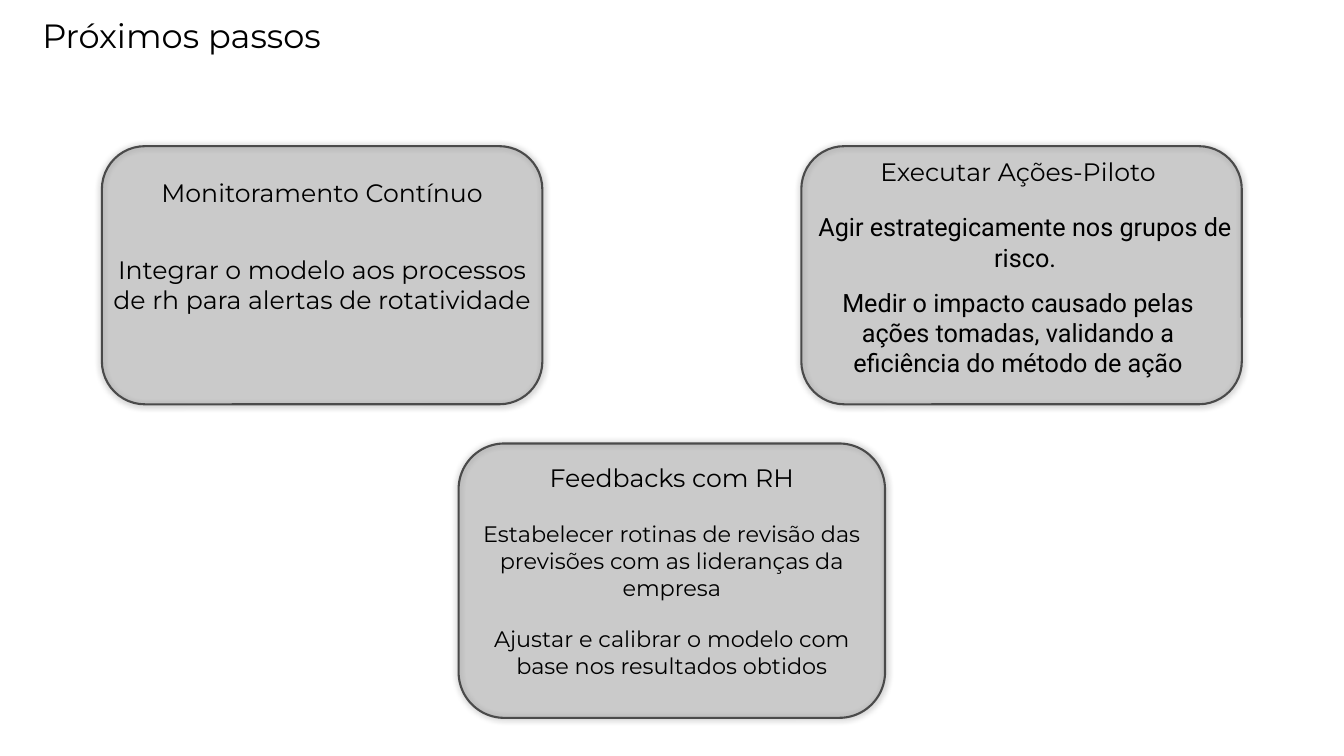
import pptx
import pptx.dml.color
import pptx.enum.shapes
import pptx.enum.text
import pptx.oxml
import pptx.oxml.ns
import pptx.util

Pt = pptx.util.Pt
COLORS = {"text": "000000", "card": "4A4A4A", "shadow": "000000"}
HEAD, BODY = "Montserrat", "Roboto"


class Deck:
    def __init__(self, width, height):
        self.prs = pptx.Presentation()
        self.prs.slide_width, self.prs.slide_height = Pt(width), Pt(height)
        self.s = self.prs.slides.add_slide(self.prs.slide_layouts[6])

    def color(self, name):
        return pptx.dml.color.RGBColor.from_string(COLORS[name])

    def text(self, shapes, x, y, w, h, text, size=18, font=HEAD):
        tf = shapes.add_textbox(Pt(x), Pt(y), Pt(w), Pt(h)).text_frame
        tf.word_wrap = True
        tf.auto_size = pptx.enum.text.MSO_AUTO_SIZE.SHAPE_TO_FIT_TEXT
        p = tf.paragraphs[0]
        p.alignment = pptx.enum.text.PP_ALIGN.CENTER
        r = p.add_run()
        r.text = text
        r.font.size, r.font.name = Pt(size), font
        r.font.color.rgb = self.color("text")

    def panel(self, shapes, x, y, w, h):
        sp = shapes.add_shape(pptx.enum.shapes.MSO_SHAPE.ROUNDED_RECTANGLE,
                              Pt(x), Pt(y), Pt(w), Pt(h))
        sp.fill.solid()
        sp.fill.fore_color.rgb = sp.line.color.rgb = self.color("card")
        sp.line.width = Pt(1.5)
        sp.shadow.inherit = False
        # Translucent fill and soft glow-like shadow
        ns = pptx.oxml.ns.nsdecls("a")
        spPr = sp.fill._xPr
        spPr.find(pptx.oxml.ns.qn("a:solidFill"))[0].append(
            pptx.oxml.parse_xml(f'<a:alpha {ns} val="20000"/>'))
        spPr.find(pptx.oxml.ns.qn("a:effectLst")).append(pptx.oxml.parse_xml(
            f'<a:outerShdw {ns} blurRad="{Pt(5)}" dist="0" dir="0" algn="ctr" rotWithShape="0">'
            f'<a:srgbClr val="{COLORS["shadow"]}"><a:alpha val="40000"/></a:srgbClr>'
            '</a:outerShdw>'))

    def card(self, x, y, w, h, texts):
        shapes = self.s.shapes.add_group_shape().shapes
        self.panel(shapes, x, y, w, h)
        for dx, dy, tw, th, text, size, font in texts:
            self.text(shapes, x + dx, y + dy, tw, th, text, size, font)


def main():
    deck = Deck(960, 540)

    # Title
    deck.text(deck.s.shapes, 3, 7.2, 253.4, 36, "Próximos passos", 24)

    # Upper cards
    w, h, top = 314.64, 184.4, 104.4
    deck.card(72.8, top, w, h, [
        (0, 18.7, w, 29, "Monitoramento Contínuo", 18, HEAD),
        (0, 73.6, w, 72.7,
         "Integrar o modelo aos processos de rh para alertas de rotatividade", 18, HEAD),
    ])
    tw = 309.7
    deck.card(572.4, top, w, h, [
        (0, 4, tw, 29, "Executar Ações-Piloto", 18, HEAD),
        (5, 43.2, tw, 51, "Agir estrategicamente nos grupos de risco.", 18, BODY),
        (0, 97.2, tw, 72.7, "Medir o impacto causado pelas ações tomadas, "
         "validando a eficiência do método de ação", 18, BODY),
    ])

    # Lower card
    w = 304.6
    deck.card(327.6, 316.8, w, 196, [
        (0, 10, w, 29, "Feedbacks com RH", 18, HEAD),
        (0, 51.1, w, 65.5,
         "Estabelecer rotinas de revisão das previsões com as lideranças da empresa", 16, HEAD),
        (0, 126, w, 46, "Ajustar e calibrar o modelo com base nos resultados obtidos", 16, HEAD),
    ])

    deck.prs.save("out.pptx")


if __name__ == "__main__":
    main()
